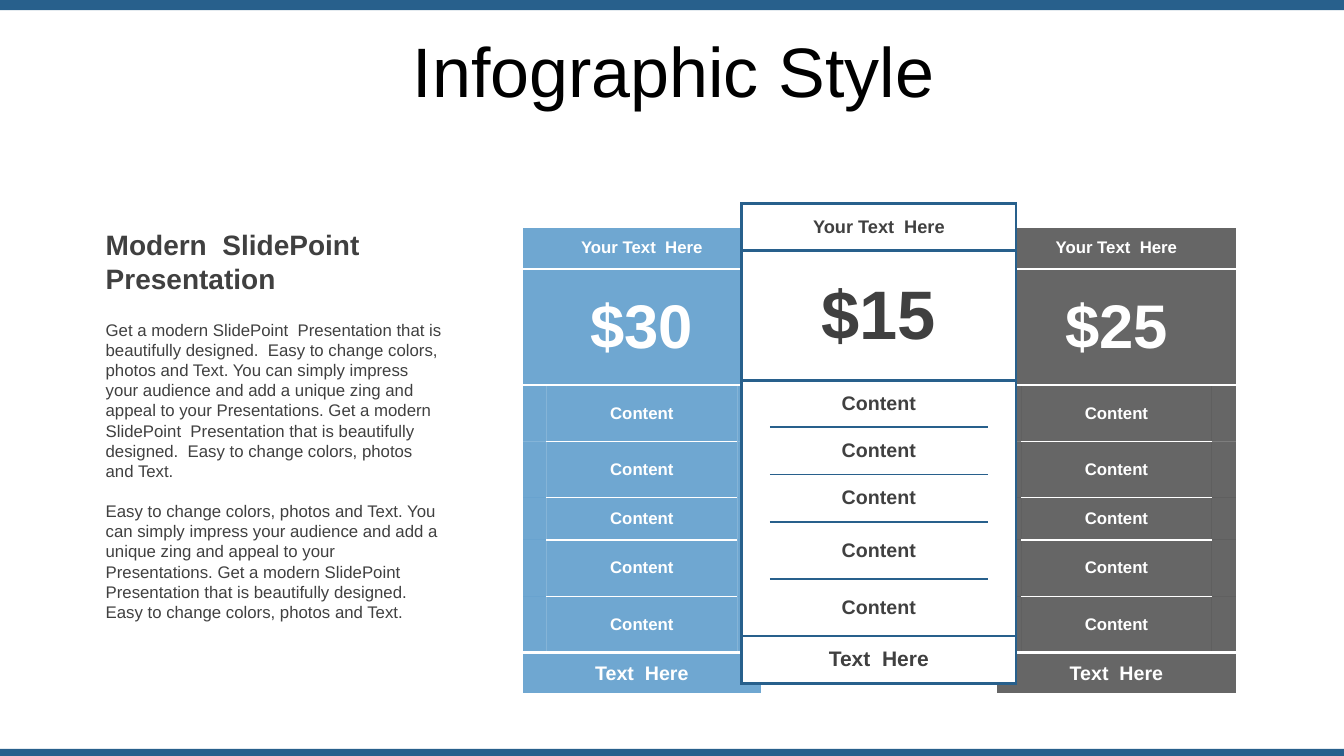
from lxml.etree import SubElement
from pptx import Presentation
from pptx.dml.color import RGBColor
from pptx.enum.shapes import MSO_SHAPE as Shape
from pptx.enum.text import MSO_ANCHOR as Anchor, PP_ALIGN as Align
from pptx.oxml.ns import qn
from pptx.util import Inches, Pt

COLORS = {"navy": "28608C", "blue": "3282BE", "charcoal": "262626",
          "white": "FFFFFF", "ink": "404040", "black": "000000"}
WIDTH, HEIGHT = 13.33, 7.5
HEADING = "Modern  SlidePoint  Presentation"
BODY = [
    "Get a modern SlidePoint  Presentation that is beautifully designed.  Easy to "
    "change colors, photos and Text. You can simply impress your audience and add a "
    "unique zing and appeal to your Presentations. Get a modern SlidePoint  "
    "Presentation that is beautifully designed.  Easy to change colors, photos and Text.",
    "Easy to change colors, photos and Text. You can simply impress your audience and "
    "add a unique zing and appeal to your Presentations. Get a modern SlidePoint "
    "Presentation that is beautifully designed. Easy to change colors, photos and Text.",
]
SIDE = {"columns": (0.25, 1.89, 0.25), "ink": "white", "rule": "white", "alpha": 70,
        "rows": (0.42, 1.16, 0.56, 0.56, 0.42, 0.56, 0.56, 0.42),
        "rules": (2.25, 2.25, 1.5, 1, 1, 1, 1, 2.25, 2.25),
        "sizes": (12, 44, 12, 14), "inset": (0.1, 0.05)}
FRONT = {"columns": (0.28, 2.17, 0.28), "ink": "ink", "rule": "navy", "alpha": 100,
         "rows": (0.47, 1.29, 0.47, 0.47, 0.47, 0.57, 0.57, 0.47),
         "rules": (2.25, 2.25, 2.25, 1.5, 1.5, 1.5, 1.5, 2.25, 2.25),
         "sizes": (13, 49, 14, 15), "inset": (0.11, 0.06)}


def rgb(name):
    """Look up a palette colour."""
    return RGBColor.from_string(COLORS[name])


def apply(target, formats):
    """Set every attribute in a dict of format values."""
    for attribute, value in formats.items():
        setattr(target, attribute, value)


def style(paragraph, size, color, bold=False, **formats):
    """Format a paragraph and its runs."""
    apply(paragraph, formats)
    for run in paragraph.runs:
        apply(run.font, {"name": "Arial", "size": Pt(size), "bold": bold})
        run.font.color.rgb = rgb(color)


def add_bar(slide, box):
    """Draw a plain navy bar across the slide."""
    bar = slide.shapes.add_shape(Shape.RECTANGLE, *map(Inches, box))
    bar.shadow.inherit = False
    bar.fill.solid()
    bar.fill.fore_color.rgb = rgb("navy")
    bar.line.fill.background()


def add_text(slide, box, paragraphs, size, color, bold=False, gap=0,
             anchor=Anchor.TOP, **formats):
    """Write paragraphs into a wrapping box with a gap between them."""
    frame = slide.shapes.add_textbox(*map(Inches, box)).text_frame
    apply(frame, {"word_wrap": True, "vertical_anchor": anchor})
    for index, words in enumerate(paragraphs):
        paragraph = frame.paragraphs[0] if index == 0 else frame.add_paragraph()
        paragraph.text = words
        style(paragraph, size, color, bold, **formats)
        if index:
            paragraph.space_before = Pt(gap)


def add_borders(cell, color, widths):
    """Rule the left, right, top and bottom of a cell; zero means none."""
    properties = cell._tc.get_or_add_tcPr()
    for side, width in zip("LRTB", widths):
        line = SubElement(properties, qn(f"a:ln{side}"), w=str(Pt(width)))
        if width:
            paint = SubElement(line, qn("a:solidFill"))
            SubElement(paint, qn("a:srgbClr"), val=COLORS[color])
        else:
            SubElement(line, qn("a:noFill"))


def fill_cell(cell, color, alpha):
    """Fill a cell with a colour at the given opacity."""
    cell.fill.solid()
    cell.fill.fore_color.rgb = rgb(color)
    if alpha < 100:
        tint = cell._tc.tcPr.find(f"{qn('a:solidFill')}/{qn('a:srgbClr')}")
        SubElement(tint, qn("a:alpha"), val=str(alpha * 1000))


def add_plan(slide, box, price, fill, look):
    """Build one pricing plan with merged header, price and footer rows."""
    left, top, width, height = box
    rows, columns = look["rows"], look["columns"]
    plan = slide.shapes.add_table(len(rows), len(columns), *map(Inches, box)).table
    apply(plan, {"first_row": False, "horz_banding": False})
    for row, share in zip(plan.rows, rows):
        row.height = Inches(height * share / sum(rows))
    for column, share in zip(plan.columns, columns):
        column.width = Inches(width * share / sum(columns))

    head, cost, item, foot = look["sizes"]
    labels = ["Your Text  Here", price] + ["Content"] * 5 + ["Text  Here"]
    sizes = [head, cost] + [item] * 5 + [foot]
    rules, (inset_x, inset_y) = look["rules"], look["inset"]
    margins = {"margin_left": Inches(inset_x), "margin_right": Inches(inset_x),
               "margin_top": Inches(inset_y), "margin_bottom": Inches(inset_y),
               "vertical_anchor": Anchor.MIDDLE}
    for r, (label, size) in enumerate(zip(labels, sizes)):
        spans = label != "Content"
        for c in range(3):
            cell = plan.cell(r, c)
            full = spans or c == 1
            add_borders(cell, look["rule"], (
                2.25 if c == 0 else 0,
                2.25 if c == 2 or (spans and c == 0) else 0,
                rules[r] if full or r == 2 else 0,
                rules[r + 1] if full or r == 6 else 0))
            fill_cell(cell, fill, look["alpha"])
            apply(cell, margins)
        if spans:
            plan.cell(r, 0).merge(plan.cell(r, 2))
        holder = plan.cell(r, 0 if spans else 1)
        holder.text = label
        style(holder.text_frame.paragraphs[0], size, look["ink"], True,
              alignment=Align.CENTER)


def add_intro(slide, box):
    """Place the heading and the body text in the left column."""
    left, top, width, height = box
    add_text(slide, (left, top, width, height * 0.2), [HEADING], 20, "ink", True)
    add_text(slide, (left, top + height * 0.237, width, height * 0.763), BODY,
             12, "ink", gap=14.4)


def add_plans(slide, box):
    """Place two side plans and the raised plan in front of them."""
    left, top, width, height = box
    side_width, side_top, side_height = width * 0.337, top + 0.23, height * 0.953
    add_plan(slide, (left, side_top, side_width, side_height), "$30", "blue", SIDE)
    add_plan(slide, (left + width - side_width, side_top, side_width, side_height),
             "$25", "charcoal", SIDE)
    add_plan(slide, (left + width * 0.308, top, width * 0.383, height * 0.977),
             "$15", "white", FRONT)


def main():
    """Build and save the pricing slide."""
    deck = Presentation()
    apply(deck, {"slide_width": Inches(WIDTH), "slide_height": Inches(HEIGHT)})
    slide = deck.slides.add_slide(deck.slide_layouts[6])
    add_bar(slide, (0, 0, WIDTH, 0.1))
    add_bar(slide, (0, HEIGHT - 0.07, WIDTH, 0.07))
    add_text(slide, (0.35, 0.37, WIDTH * 0.95, 0.79), ["Infographic Style"], 50,
             "black", anchor=Anchor.MIDDLE, alignment=Align.CENTER, line_spacing=0.8)
    add_intro(slide, (0.95, 2.21, 3.56, 3.84))
    add_plans(slide, (5.17, 2.02, 7.1, 4.87))
    deck.save("out.pptx")


if __name__ == "__main__":
    main()
